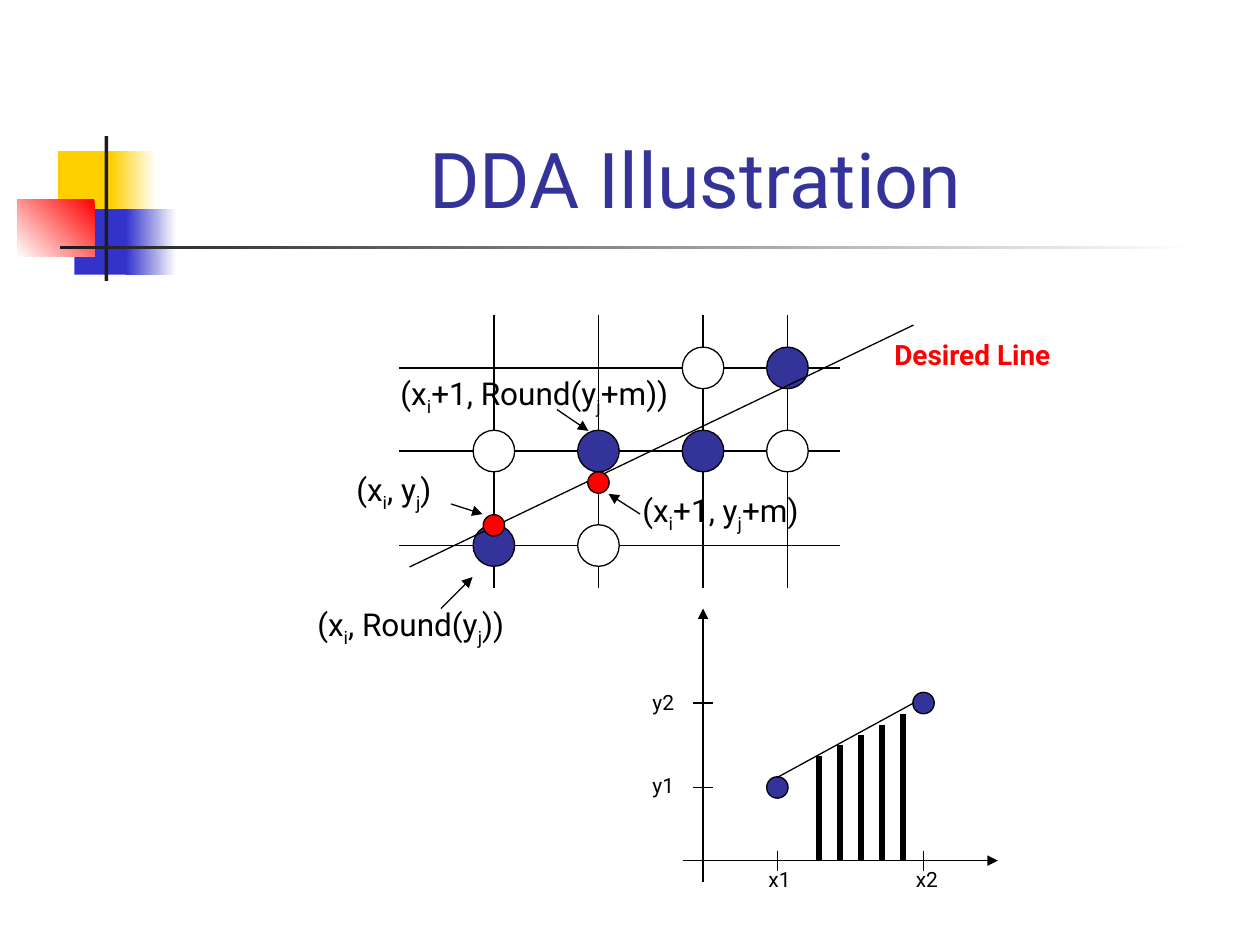
from typing import NamedTuple, Optional

from lxml.etree import SubElement
from pptx import Presentation
from pptx.dml.color import RGBColor
from pptx.enum.shapes import MSO_CONNECTOR, MSO_SHAPE
from pptx.enum.text import MSO_ANCHOR, MSO_AUTO_SIZE, PP_ALIGN
from pptx.oxml.ns import qn
from pptx.util import Inches, Pt

FONT = "Roboto"
BLACK = RGBColor(0x00, 0x00, 0x00)
WHITE = RGBColor(0xFF, 0xFF, 0xFF)
RED = RGBColor(0xFF, 0x00, 0x00)
NAVY = RGBColor(0x33, 0x33, 0x99)
BLUE = RGBColor(0x33, 0x33, 0xCC)
YELLOW = RGBColor(0xFF, 0xCF, 0x01)
CHARCOAL = RGBColor(0x1C, 0x1C, 0x1C)


class Block(NamedTuple):
    left: float
    top: float
    width: float
    height: float
    color: RGBColor
    end_color: Optional[RGBColor] = None  # set for a gradient
    angle: float = 0  # counter-clockwise degrees


class Segment(NamedTuple):
    x1: float
    y1: float
    x2: float
    y2: float
    arrow: bool = False
    weight: float = 0.75


class Dot(NamedTuple):
    x: float
    y: float
    diameter: float
    color: RGBColor


class Label(NamedTuple):
    left: float
    top: float
    width: float
    height: float
    text: str  # every second piece between bars is a subscript
    size: float = 18
    color: RGBColor = BLACK
    bold: bool = False


def draw_block(page, block: Block) -> None:
    shape = page.shapes.add_shape(
        MSO_SHAPE.RECTANGLE, Inches(block.left), Inches(block.top),
        Inches(block.width), Inches(block.height))
    shape.shadow.inherit = False
    shape.line.fill.background()
    if block.end_color is None:
        shape.fill.solid()
        shape.fill.fore_color.rgb = block.color
        return
    shape.fill.gradient()
    shape.fill.gradient_angle = block.angle
    stops = shape.fill.gradient_stops
    for stop, color, position in zip(stops, (block.color, block.end_color), (0, 1)):
        stop.color.rgb = color
        stop.position = position


def draw_segment(page, segment: Segment) -> None:
    connector = page.shapes.add_connector(
        MSO_CONNECTOR.STRAIGHT, Inches(segment.x1), Inches(segment.y1),
        Inches(segment.x2), Inches(segment.y2))
    connector.line.color.rgb = BLACK
    connector.line.width = Pt(segment.weight)
    properties = connector._element.spPr
    if segment.arrow:
        SubElement(properties.find(qn("a:ln")), qn("a:tailEnd"), type="triangle")
    SubElement(properties, qn("a:effectLst"))


def draw_dot(page, dot: Dot) -> None:
    radius = dot.diameter / 2
    shape = page.shapes.add_shape(
        MSO_SHAPE.FLOWCHART_CONNECTOR, Inches(dot.x - radius), Inches(dot.y - radius),
        Inches(dot.diameter), Inches(dot.diameter))
    shape.shadow.inherit = False
    shape.fill.solid()
    shape.fill.fore_color.rgb = dot.color
    shape.line.color.rgb = BLACK
    shape.line.width = Pt(0.75)


def draw_label(page, label: Label):
    box = page.shapes.add_textbox(
        Inches(label.left), Inches(label.top), Inches(label.width), Inches(label.height))
    frame = box.text_frame
    frame.word_wrap = True
    frame.auto_size = MSO_AUTO_SIZE.SHAPE_TO_FIT_TEXT
    para = frame.paragraphs[0]
    for index, piece in enumerate(label.text.split("|")):
        span = para.add_run()
        span.text = piece
        span.font.name = FONT
        span.font.size = Pt(label.size)
        span.font.bold = label.bold
        span.font.color.rgb = label.color
        if index % 2:
            span._r.get_or_add_rPr().set("baseline", "-25000")
    return box


def draw_decoration(page) -> None:
    for block in (
        Block(0.46, 1.2, 0.48, 0.52, YELLOW),
        Block(0.88, 1.2, 0.36, 0.52, WHITE, YELLOW, 180),
        Block(0.59, 1.66, 0.46, 0.52, BLUE),
        Block(1, 1.66, 0.4, 0.52, WHITE, BLUE, 180),
        Block(0.14, 1.58, 0.61, 0.46, RED, WHITE, 225),
        Block(0.83, 1.08, 0.03, 1.15, CHARCOAL),
        Block(0.48, 1.95, 9, 0.03, WHITE, CHARCOAL, 180),
    ):
        draw_block(page, block)


def draw_title(page) -> None:
    box = draw_label(page, Label(1.26, 0.23, 8.52, 1.6, "DDA Illustration", 44, NAVY))
    box.text_frame.auto_size = MSO_AUTO_SIZE.NONE
    box.text_frame.vertical_anchor = MSO_ANCHOR.BOTTOM
    box.text_frame.paragraphs[0].alignment = PP_ALIGN.CENTER


def draw_pixel_grid(page) -> None:
    columns = (3.92, 4.75, 5.58, 6.25)
    rows = (2.92, 3.58, 4.33)
    for y in rows:
        draw_segment(page, Segment(3.17, y, 6.67, y))
    for x in columns:
        draw_segment(page, Segment(x, 2.5, x, 4.67))

    # Chosen pixels are navy, rejected ones white
    chosen = ((1, 1), (2, 1), (3, 0), (0, 2))
    rejected = ((0, 1), (1, 2), (2, 0), (3, 1))
    for cells, color in ((chosen, NAVY), (rejected, WHITE)):
        for column, row in cells:
            draw_dot(page, Dot(columns[column], rows[row], 0.33, color))

    # Desired line and its exact points
    draw_segment(page, Segment(3.25, 4.5, 7.25, 2.58))
    for x, y in ((columns[0], 4.17), (columns[1], 3.83)):
        draw_dot(page, Dot(x, y, 0.17, RED))

    # Labels and their pointers
    for label in (
        Label(2.42, 4.75, 2.5, 0.44, "(x|i|, Round(y|j|))"),
        Label(5, 3.85, 2.5, 0.44, "(x|i|+1, y|j|+m)"),
        Label(2.73, 3.68, 1.27, 0.44, "(x|i|, y|j|)"),
        Label(3.08, 2.92, 2.5, 0.44, "(x|i|+1, Round(y|j|+m))"),
        Label(7, 2.63, 1.67, 0.37, "Desired Line", 16, RED, True),
    ):
        draw_label(page, label)
    for pointer in (
        Segment(3.5, 4.83, 3.75, 4.58, arrow=True),
        Segment(3.58, 4, 3.83, 4.08, arrow=True),
        Segment(5.08, 4.08, 4.83, 3.92, arrow=True),
        Segment(4.42, 3.25, 4.67, 3.42, arrow=True),
    ):
        draw_segment(page, pointer)


def draw_axes_plot(page) -> None:
    axis_x, axis_y, half_tick = 5.58, 6.83, 0.08
    draw_segment(page, Segment(axis_x, 7, axis_x, 4.83, arrow=True))
    draw_segment(page, Segment(5.42, axis_y, 7.92, axis_y, arrow=True))

    # End points with their ticks and names
    for number, x, y, x_label, y_label in ((1, 6.17, 6.25, 6, 6.08),
                                           (2, 7.33, 5.58, 7.17, 5.42)):
        draw_segment(page, Segment(x, axis_y - half_tick, x, axis_y + half_tick))
        draw_segment(page, Segment(axis_x - half_tick, y, axis_x + half_tick, y))
        draw_dot(page, Dot(x, y, 0.17, NAVY))
        draw_label(page, Label(x_label, axis_y, 0.58, 0.3, f"x{number}", 12))
        draw_label(page, Label(5.08, y_label, 0.58, 0.3, f"y{number}", 12))

    # Line and the evenly spaced samples below it
    draw_segment(page, Segment(6.17, 6.17, 7.25, 5.58))
    for step in range(5):
        x = 6.5 + step / 6
        draw_segment(page, Segment(x, 6 - step / 12, x, axis_y, weight=3))


def main() -> None:
    deck = Presentation()
    deck.slide_width, deck.slide_height = Inches(10), Inches(7.5)
    page = deck.slides.add_slide(deck.slide_layouts[6])
    draw_decoration(page)
    draw_title(page)
    draw_pixel_grid(page)
    draw_axes_plot(page)
    deck.save("out.pptx")


if __name__ == "__main__":
    main()
